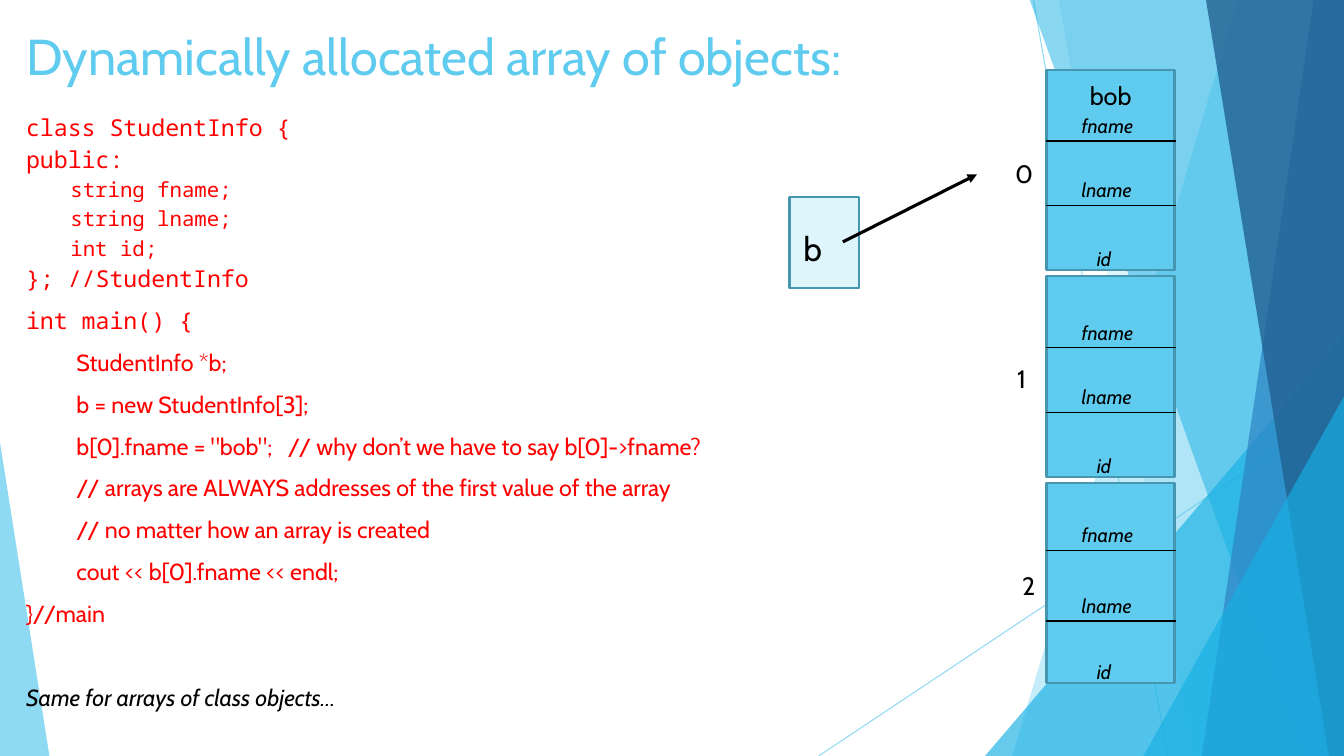
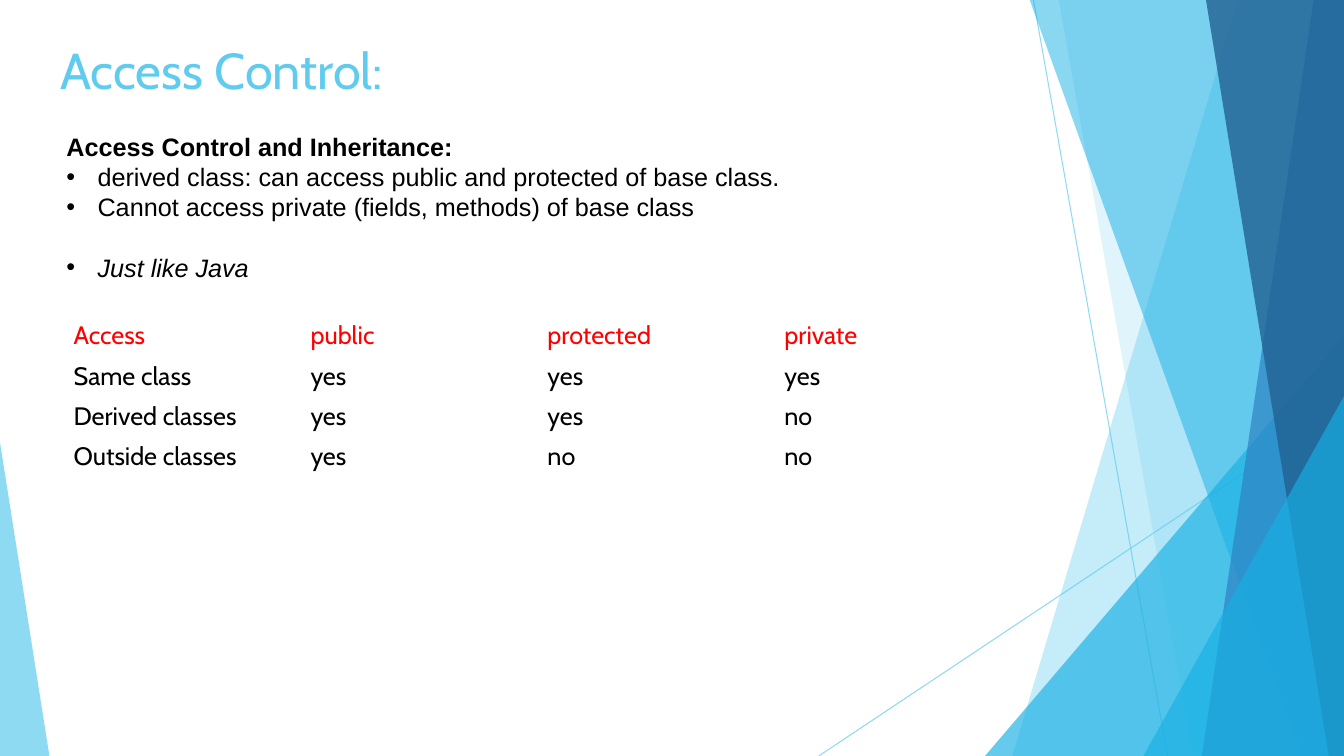
from pptx import Presentation
from pptx.dml.color import RGBColor
from pptx.enum.shapes import MSO_CONNECTOR, MSO_SHAPE
from pptx.enum.text import MSO_ANCHOR
from pptx.oxml.ns import qn
from pptx.util import Inches, Pt
from lxml.etree import SubElement

COLORS = {"sky": "5FCBEF", "azure": "17B0E4", "blue": "2E83C3", "navy": "226292",
          "pale": "DFF5FC", "edge": "4696B1", "red": "FF0000", "black": "000000"}
FONT, MONO, SANS = "Cabin", "Noto Sans Mono", "Arial"
WIDTH, HEIGHT = 13.33, 7.5
LEADING = 1.2

# Backdrop: bands run from (top x, bottom x) to the right edge,
# triangles are (left, top, width, height) plus the apex position
RAYS = [((10.25, 0), (11.58, 7.5)), ((13.33, 4.03), (8.12, 7.5))]
FACETS = [
    ("band", (12.28, 10.04), None, "sky", 36),
    ("band", (10.5, 11.83), None, "sky", 20),
    ("triangle", (9.77, 3.33, 3.56, 4.17), 1, "azure", 66),
    ("band", (10.21, 12.91), None, "azure", 50),
    ("band", (13.03, 11.92), None, "blue", 70),
    ("band", (11.96, 13.18), None, "navy", 80),
    ("triangle", (11.34, 3.93, 1.99, 3.57), 1, "azure", 66),
    ("triangle", (0, 4.39, 0.49, 3.11), 0, "sky", 70),
]

# Slide 1: code lines as (text, style, space before)
CODE_STYLES = {
    "mono": {"name": MONO, "size": 16.6, "color": "red"},
    "field": {"name": MONO, "size": 14.8, "color": "red", "indent": 0.44},
    "plain": {"size": 16.6, "color": "red"},
    "step": {"size": 16.6, "color": "red", "indent": 0.5},
    "note": {"size": 16.6, "italic": True},
}
CODE = [
    ("class StudentInfo {", "mono", 0),
    ("public:", "mono", 3),
    ("string fname;", "field", 3),
    ("string lname;", "field", 3),
    ("int id;", "field", 3),
    ("}; //StudentInfo", "mono", 3),
    ("int main() {", "mono", 10),
    ("StudentInfo *b;", "step", 10),
    ("b = new StudentInfo[3];", "step", 10),
    ("b[0].fname = \"bob\";   // why don’t we have to say b[0]->fname?", "step", 10),
    ("// arrays are ALWAYS addresses of the first value of the array", "step", 10),
    ("// no matter how an array is created", "step", 10),
    ("cout << b[0].fname << endl;", "step", 10),
    ("}//main", "plain", 10),
    ("Same for arrays of class objects…", "note", 40),
]
# Memory records: index, its left and top, divider offsets from the record's top
RECORDS = [
    ("0", 9.97, 1.52, (0.71, 1.35)),
    ("1", 9.99, 3.56, (0.71, 1.35)),
    ("2", 10.04, 5.61, (0.67, 1.37)),
]
RECORD_LEFT, RECORD_TOP, RECORD_PITCH = 10.38, 0.69, 2.05
RECORD_W, RECORD_H = 1.27, 1.99

# Slide 2
BULLET = {"indent": 0.31, "bullet": "•"}
RULES = [
    ("Access Control and Inheritance:", {"bold": True}),
    ("derived class: can access public and protected of base class.", BULLET),
    ("Cannot access private (fields, methods) of base class", BULLET),
    ("Just like Java", {**BULLET, "italic": True, "before": 21.6}),
]
ACCESS = [
    ("Access", "public", "protected", "private"),
    ("Same class", "yes", "yes", "yes"),
    ("Derived classes", "yes", "yes", "no"),
    ("Outside classes", "yes", "no", "no"),
]


def rgb(name):
    return RGBColor.from_string(COLORS[name])


def set_alpha(element, percent):
    for clr in element.iter(qn("a:srgbClr")):
        SubElement(clr, qn("a:alpha"), val=str(percent * 1000))


def write(p, text, size=18, name=FONT, color="black", indent=0, bullet=None,
          before=0, fixed=False, **styles):
    """Fill one paragraph with a formatted run."""
    pPr = p._p.get_or_add_pPr()
    if indent:
        pPr.set("marL", str(Inches(indent)))
        pPr.set("indent", str(-Inches(indent) if bullet else 0))
    if bullet:
        SubElement(pPr, qn("a:buFont"), typeface=SANS)
        SubElement(pPr, qn("a:buChar"), char=bullet)
    if before:
        p.space_before = Pt(before)
    if fixed:
        p.line_spacing = Pt(round(size * LEADING, 1))
    r = p.add_run()
    r.text = text
    r.font.color.rgb = rgb(color)
    for key, value in {"size": Pt(size), "name": name, **styles}.items():
        setattr(r.font, key, value)


def add_text(s, box, lines, **common):
    tf = s.shapes.add_textbox(*map(Inches, box)).text_frame
    tf.word_wrap = True
    for i, (text, style) in enumerate(lines):
        p = tf.add_paragraph() if i else tf.paragraphs[0]
        write(p, text, **{**common, **style})


def add_label(s, box, text, **style):
    add_text(s, box, [(text, style)])


def paint(sp, fill, line=None, alpha=None):
    sp.shadow.inherit = False
    sp.fill.solid()
    sp.fill.fore_color.rgb = rgb(fill)
    if alpha:
        set_alpha(sp._element.spPr, alpha)
    if line:
        sp.line.color.rgb = rgb(line)
        sp.line.width = Pt(1.5)
    else:
        sp.line.fill.background()


def add_box(s, box, fill):
    sp = s.shapes.add_shape(MSO_SHAPE.RECTANGLE, *map(Inches, box))
    paint(sp, fill, "edge")


def add_line(s, start, end, color="black", width=1, alpha=None, arrow=False):
    cx = s.shapes.add_connector(MSO_CONNECTOR.STRAIGHT, *map(Inches, start + end))
    cx.line.color.rgb = rgb(color)
    cx.line.width = Pt(width)
    spPr = cx._element.spPr
    if alpha:
        set_alpha(spPr, alpha)
    if arrow:
        SubElement(spPr.find(qn("a:ln")), qn("a:tailEnd"), type="triangle")
    SubElement(spPr, qn("a:effectLst"))


def add_base(prs, title, title_box):
    """Add a slide with the shared backdrop and title style."""
    s = prs.slides.add_slide(prs.slide_layouts[6])
    for start, end in RAYS:
        add_line(s, start, end, "sky", 0.75, alpha=70)
    for kind, place, apex, color, alpha in FACETS:
        if kind == "band":
            top_x, bottom_x = place
            corners = [(WIDTH, -0.01), (WIDTH, HEIGHT), (bottom_x, HEIGHT)]
            outline = s.shapes.build_freeform(Inches(top_x), Inches(-0.01))
            outline.add_line_segments([(Inches(x), Inches(y)) for x, y in corners])
            sp = outline.convert_to_shape()
        else:
            sp = s.shapes.add_shape(MSO_SHAPE.ISOSCELES_TRIANGLE, *map(Inches, place))
            sp.adjustments[0] = apex
        paint(sp, color, alpha=alpha)
    add_label(s, title_box, title, size=36, color="sky")
    return s


def add_record(s, top, dividers):
    add_box(s, (RECORD_LEFT, top, RECORD_W, RECORD_H), "sky")
    for field, offset in zip(("fname", "lname"), dividers):
        y = top + offset
        add_line(s, (RECORD_LEFT - 0.01, y), (RECORD_LEFT + RECORD_W + 0.01, y))
        add_label(s, (RECORD_LEFT + 0.25, y - 0.32, 0.75, 0.34), field,
                  size=14, italic=True)
    add_label(s, (RECORD_LEFT + 0.4, top + RECORD_H - 0.28, 0.37, 0.34), "id",
              size=14, italic=True)


def build_array_slide(prs):
    s = add_base(prs, "Dynamically allocated array of objects:", (0.16, 0.2, 9.4, 0.75))
    lines = [(text, {**CODE_STYLES[style], "before": before})
             for text, style, before in CODE]
    add_text(s, (0.16, 1.07, 9.98, 5.71), lines, fixed=True)

    # Array elements in memory
    for i, (index, x, y, dividers) in enumerate(RECORDS):
        add_record(s, RECORD_TOP + i * RECORD_PITCH, dividers)
        add_label(s, (x, y, 0.34, 0.4), index)
    add_label(s, (10.71, 0.75, 1.21, 0.4), "bob")

    # Pointer
    add_box(s, (7.83, 1.95, 0.69, 0.91), "pale")
    add_label(s, (7.87, 2.21, 0.39, 0.5), "b", size=24)
    add_line(s, (8.36, 2.4), (9.69, 1.73), width=2.25, arrow=True)


def build_access_slide(prs):
    s = add_base(prs, "Access Control:", (0.5, 0.34, 9.4, 0.82))
    add_text(s, (0.56, 1.25, 9.47, 1.92), RULES, name=SANS, fixed=True)

    # Access table
    box = map(Inches, (0.63, 3.13, 9.4, 1.6))
    table = s.shapes.add_table(len(ACCESS), len(ACCESS[0]), *box).table
    table.first_row = table.horz_banding = False
    for i, row in enumerate(ACCESS):
        for j, text in enumerate(row):
            cell = table.cell(i, j)
            cell.fill.background()
            cell.vertical_anchor = MSO_ANCHOR.MIDDLE
            write(cell.text_frame.paragraphs[0], text, color="black" if i else "red")


def main():
    prs = Presentation()
    prs.slide_width, prs.slide_height = Inches(WIDTH), Inches(HEIGHT)
    build_array_slide(prs)
    build_access_slide(prs)
    prs.save("out.pptx")


if __name__ == "__main__":
    main()
